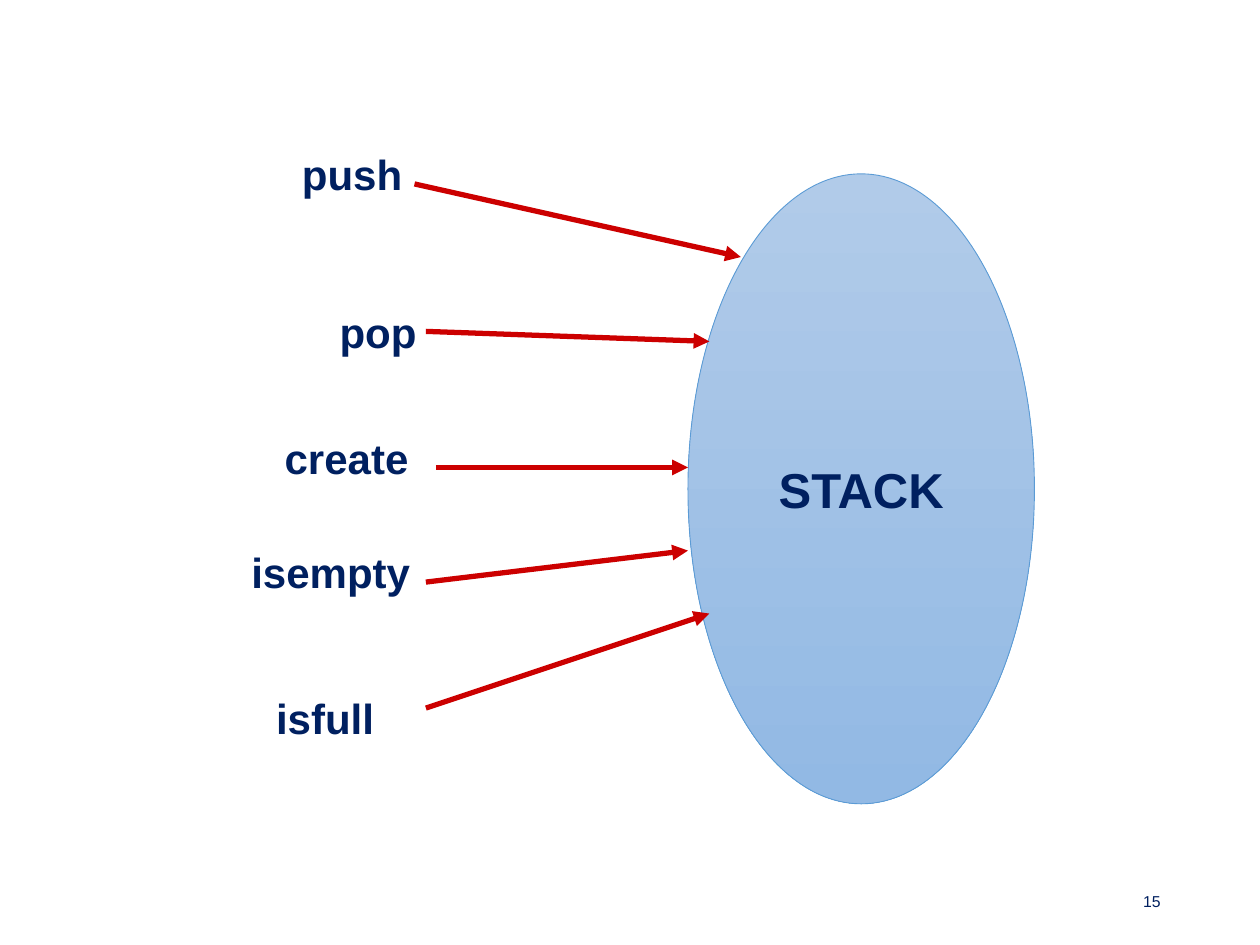
from pptx import Presentation
from pptx.dml.color import RGBColor
from pptx.enum.shapes import MSO_CONNECTOR, MSO_SHAPE
from pptx.enum.text import MSO_ANCHOR, PP_ALIGN
from pptx.oxml.ns import qn
from pptx.util import Inches, Pt
from lxml.etree import SubElement

NAVY = RGBColor(0x00, 0x20, 0x60)
RED = RGBColor(0xCC, 0x00, 0x00)
OUTLINE_BLUE = RGBColor(0x5B, 0x9B, 0xD5)
LIGHT_BLUE = RGBColor(0xB1, 0xCB, 0xE9)
MID_BLUE = RGBColor(0x92, 0xB9, 0xE4)

# operation, label (left, top, width), arrow start, arrow end
OPERATIONS = [
    ("push", (2.13, 1.13, 1.33), (3.29, 1.46), (5.88, 2.04)),
    ("pop", (2.21, 2.38, 1.58), (3.38, 2.63), (5.63, 2.71)),
    ("create", (2.04, 3.38, 1.42), (3.46, 3.71), (5.46, 3.71)),
    ("isempty", (1.79, 4.29, 1.67), (3.38, 4.62), (5.46, 4.37)),
    ("isfull", (1.79, 5.45, 1.58), (3.38, 5.62), (5.63, 4.87)),
]
LABEL_HEIGHT = 0.5


class SlideBuilder:
    font_name = "Arial"
    text_color = NAVY

    def __init__(self, slide):
        self.slide = slide

    def set_text(self, shape, text, size, bold, align, anchor):
        frame = shape.text_frame
        frame.vertical_anchor = anchor
        paragraph = frame.paragraphs[0]
        paragraph.text = text
        paragraph.alignment = align
        font = paragraph.font
        font.name = self.font_name
        font.size = Pt(size)
        font.bold = bold
        font.color.rgb = self.text_color

    def text(self, text, left, top, width, height, size, bold=False,
             align=PP_ALIGN.CENTER, anchor=MSO_ANCHOR.TOP):
        box = self.slide.shapes.add_textbox(
            Inches(left), Inches(top), Inches(width), Inches(height))
        box.text_frame.word_wrap = True
        self.set_text(box, text, size, bold, align, anchor)

    def ellipse(self, text, left, top, width, height):
        shape = self.slide.shapes.add_shape(
            MSO_SHAPE.OVAL, Inches(left), Inches(top), Inches(width), Inches(height))
        shape.shadow.inherit = False
        shape.fill.gradient()
        shape.fill.gradient_angle = 270
        for stop, color in zip(shape.fill.gradient_stops, (LIGHT_BLUE, MID_BLUE)):
            stop.color.rgb = color
        shape.line.color.rgb = OUTLINE_BLUE
        shape.line.width = Pt(0.5)
        shape.text_frame.word_wrap = False
        self.set_text(shape, text, 28, True, PP_ALIGN.CENTER, MSO_ANCHOR.MIDDLE)

    def arrow(self, start, end):
        connector = self.slide.shapes.add_connector(
            MSO_CONNECTOR.STRAIGHT, *(Inches(value) for value in start + end))
        connector.line.color.rgb = RED
        connector.line.width = Pt(3)
        properties = connector._element.spPr
        SubElement(properties.find(qn("a:ln")), qn("a:tailEnd"), type="triangle")
        SubElement(properties, qn("a:effectLst"))


def main():
    presentation = Presentation()
    presentation.slide_width = Inches(10)
    presentation.slide_height = Inches(7.5)
    blank_layout = presentation.slide_layouts[6]
    builder = SlideBuilder(presentation.slides.add_slide(blank_layout))

    builder.text("15", 7.06, 6.95, 2.25, 0.4, 9,
                 align=PP_ALIGN.RIGHT, anchor=MSO_ANCHOR.MIDDLE)
    builder.ellipse("STACK", 5.46, 1.38, 2.75, 5)
    for operation, label_position, start, end in OPERATIONS:
        builder.arrow(start, end)
        builder.text(operation, *label_position, LABEL_HEIGHT, 24, bold=True)

    presentation.save("out.pptx")


if __name__ == "__main__":
    main()
